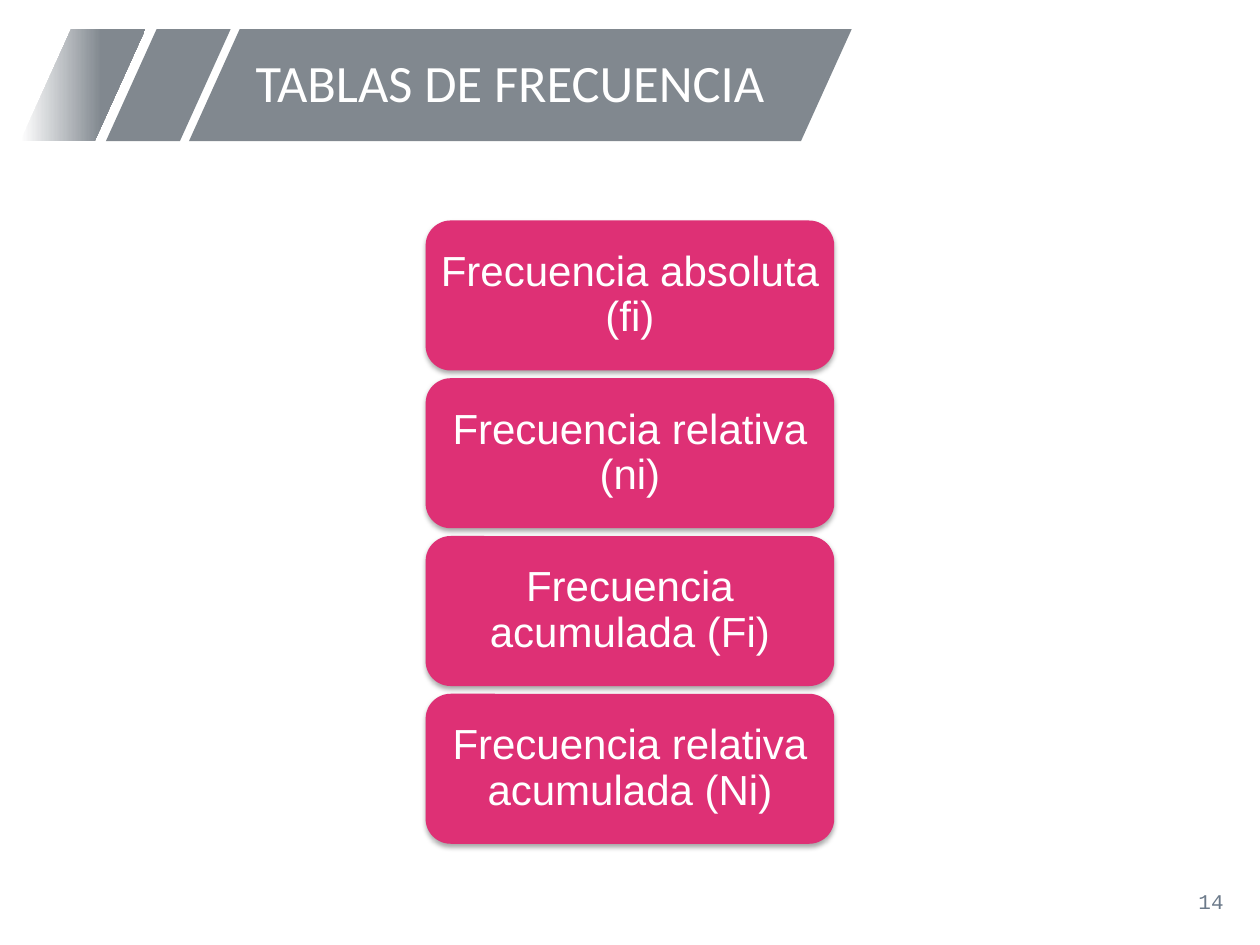
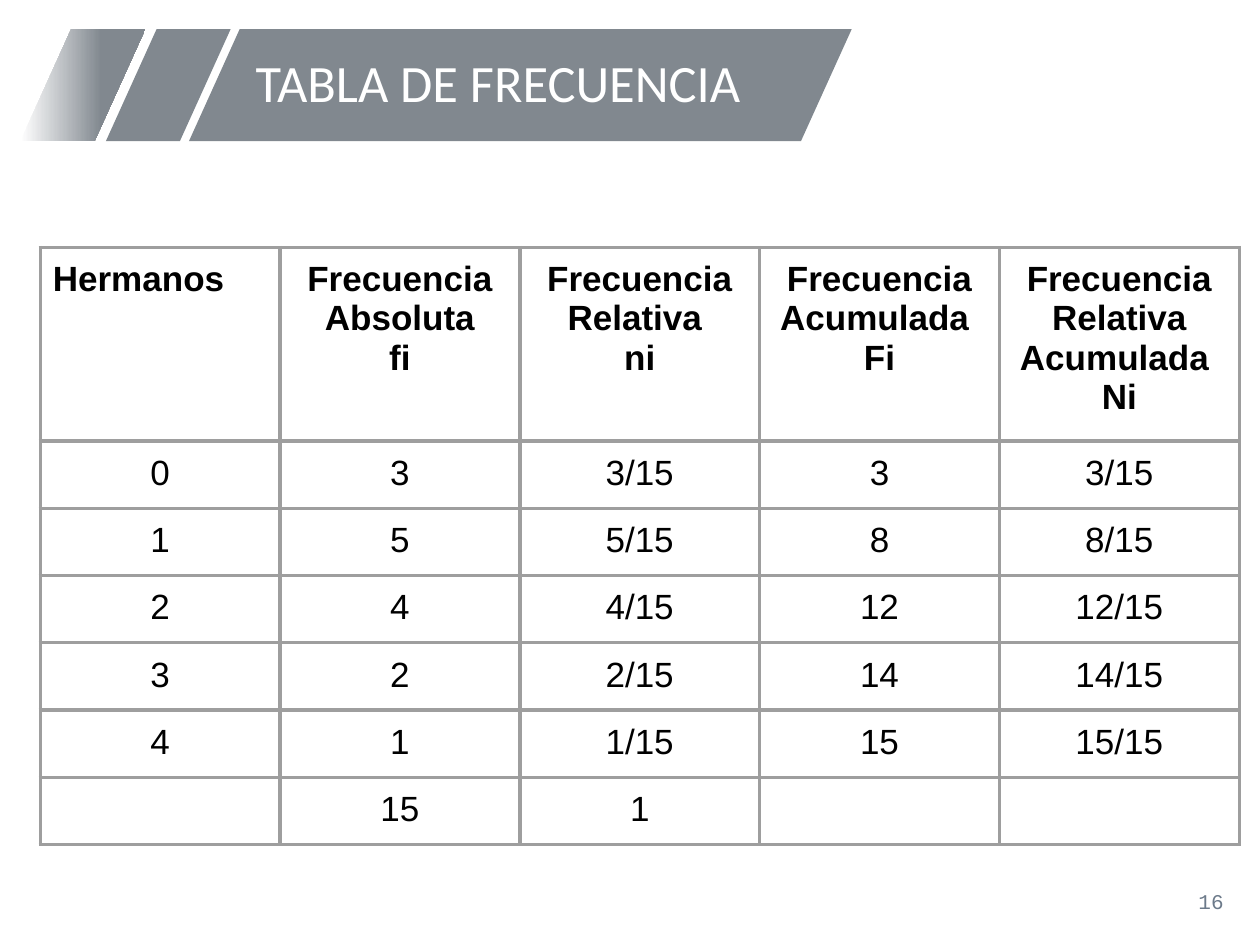
from lxml import etree
from pptx import Presentation
from pptx.dml.color import RGBColor
from pptx.enum import shapes, text
from pptx.oxml import ns
from pptx.util import Pt

COLORS = {
    "band": "81888F", "fade": "FFFFFF", "title": "FFFFFF", "number": "6C7A8A",
    "card": "DE3075", "card_text": "FFFFFF", "shadow": "000000",
    "cell_text": "000000", "border": "9E9E9E",
}

FREQUENCY_KINDS = {
    "title": "TABLAS DE FRECUENCIA",
    "number": "14",
    "cards": [
        "Frecuencia absoluta (fi)",
        "Frecuencia relativa (ni)",
        "Frecuencia acumulada (Fi)",
        "Frecuencia relativa acumulada (Ni)",
    ],
}

SIBLINGS = {
    "title": "TABLA DE FRECUENCIA",
    "number": "16",
    "rows": [
        ["Hermanos", "Frecuencia Absoluta\nfi", "Frecuencia Relativa \nni",
         "Frecuencia Acumulada \nFi", "Frecuencia Relativa Acumulada \nNi"],
        ["0", "3", "3/15", "3", "3/15"],
        ["1", "5", "5/15", "8", "8/15"],
        ["2", "4", "4/15", "12", "12/15"],
        ["3", "2", "2/15", "14", "14/15"],
        ["4", "1", "1/15", "15", "15/15"],
        ["", "15", "1", "", ""],
    ],
}

BAND_TOP, BAND_HEIGHT = 16.7, 64
BANDS = [(108, 378.7), (60.5, 71.3), (11.7, 71.3)]
CARD_LEFT, CARD_TOP, CARD_WIDTH, CARD_HEIGHT, CARD_GAP = 243.2, 126, 233.5, 85.7, 4.45
TABLE_LEFT, TABLE_TOP, COLUMN_WIDTH, HEADER_HEIGHT, ROW_HEIGHT = 23, 141.5, 137.05, 103.7, 36.7
BORDER_WIDTH, CELL_INSET = 2.25, 7.2


def rgb(name):
    return RGBColor.from_string(COLORS[name])


def add_xml(parent, tag, **attributes):
    return etree.SubElement(parent, ns.qn(tag), {k: str(v) for k, v in attributes.items()})


def write(frame, words, size, face, color, align, bold=False, spacing=None):
    frame.text = words
    for paragraph in frame.paragraphs:
        paragraph.alignment = align
        paragraph.line_spacing = spacing
        font = paragraph.font
        font.size, font.name, font.bold = Pt(size), face, bold
        font.color.rgb = rgb(color)


def add_block(slide, preset, left, top, width, height, color):
    block = slide.shapes.add_shape(preset, Pt(left), Pt(top), Pt(width), Pt(height))
    block.shadow.inherit = False
    block.fill.solid()
    block.fill.fore_color.rgb = rgb(color)
    block.line.fill.background()
    return block


def add_label(slide, left, top, width, height, *style, **options):
    label = slide.shapes.add_textbox(Pt(left), Pt(top), Pt(width), Pt(height))
    label.text_frame.word_wrap = True
    label.text_frame.vertical_anchor = text.MSO_ANCHOR.MIDDLE
    write(label.text_frame, *style, **options)


def add_page(deck, content):
    slide = deck.slides.add_slide(deck.slide_layouts[6])
    for left, width in BANDS:
        band = add_block(slide, shapes.MSO_SHAPE.PARALLELOGRAM,
                         left, BAND_TOP, width, BAND_HEIGHT, "band")
        band.adjustments[0] = 0.453
    band.fill.gradient()
    band.fill.gradient_angle = 0
    for stop, position, color in zip(band.fill.gradient_stops, (0, 0.65), ("fade", "band")):
        stop.position = position
        stop.color.rgb = rgb(color)
    add_label(slide, 544.3, 500.4, 162, 28.8, content["number"], 12, "Courier New",
              "number", text.PP_ALIGN.RIGHT)
    add_label(slide, 139, BAND_TOP, 337.7, BAND_HEIGHT, content["title"], 30, "Calibri",
              "title", text.PP_ALIGN.LEFT, spacing=0.9)
    return slide


def add_card(slide, position, words):
    top = CARD_TOP + position * (CARD_HEIGHT + CARD_GAP)
    card = add_block(slide, shapes.MSO_SHAPE.ROUNDED_RECTANGLE,
                     CARD_LEFT, top, CARD_WIDTH, CARD_HEIGHT, "card")
    effects = card._element.spPr.find(ns.qn("a:effectLst"))
    shadow = add_xml(effects, "a:outerShdw", blurRad=Pt(3.1), dist=Pt(1.8),
                     dir=5400000, rotWithShape=0)
    shade = add_xml(shadow, "a:srgbClr", val=COLORS["shadow"])
    add_xml(shade, "a:alpha", val=35000)
    frame = card.text_frame
    frame.word_wrap = True
    frame.vertical_anchor = text.MSO_ANCHOR.MIDDLE
    frame.margin_left = frame.margin_right = Pt(4)
    write(frame, words, 24, "Arial", "card_text", text.PP_ALIGN.CENTER, spacing=0.9)


def style_cell(cell):
    cell.margin_left = cell.margin_right = Pt(CELL_INSET)
    cell.margin_top = cell.margin_bottom = Pt(CELL_INSET)
    properties = cell._tc.get_or_add_tcPr()
    for side in "LRTB":
        border = add_xml(properties, f"a:ln{side}", w=Pt(BORDER_WIDTH))
        add_xml(add_xml(border, "a:solidFill"), "a:srgbClr", val=COLORS["border"])
    cell.fill.background()


def add_frequency_table(slide, rows):
    heights = [HEADER_HEIGHT] + [ROW_HEIGHT] * (len(rows) - 1)
    columns = len(rows[0])
    table = slide.shapes.add_table(len(rows), columns, Pt(TABLE_LEFT), Pt(TABLE_TOP),
                                   Pt(COLUMN_WIDTH * columns), Pt(sum(heights))).table
    table.horz_banding = False
    table.first_row = False
    for column in table.columns:
        column.width = Pt(COLUMN_WIDTH)
    for r, (height, values) in enumerate(zip(heights, rows)):
        table.rows[r].height = Pt(height)
        for c, value in enumerate(values):
            cell = table.cell(r, c)
            style_cell(cell)
            align = text.PP_ALIGN.LEFT if r == c == 0 else text.PP_ALIGN.CENTER
            write(cell.text_frame, value, 20, "Arial", "cell_text", align, bold=r == 0)


def main():
    deck = Presentation()
    deck.slide_width, deck.slide_height = Pt(720), Pt(540)
    kinds = add_page(deck, FREQUENCY_KINDS)
    for position, words in enumerate(FREQUENCY_KINDS["cards"]):
        add_card(kinds, position, words)
    add_frequency_table(add_page(deck, SIBLINGS), SIBLINGS["rows"])
    deck.save("out.pptx")


if __name__ == "__main__":
    main()
